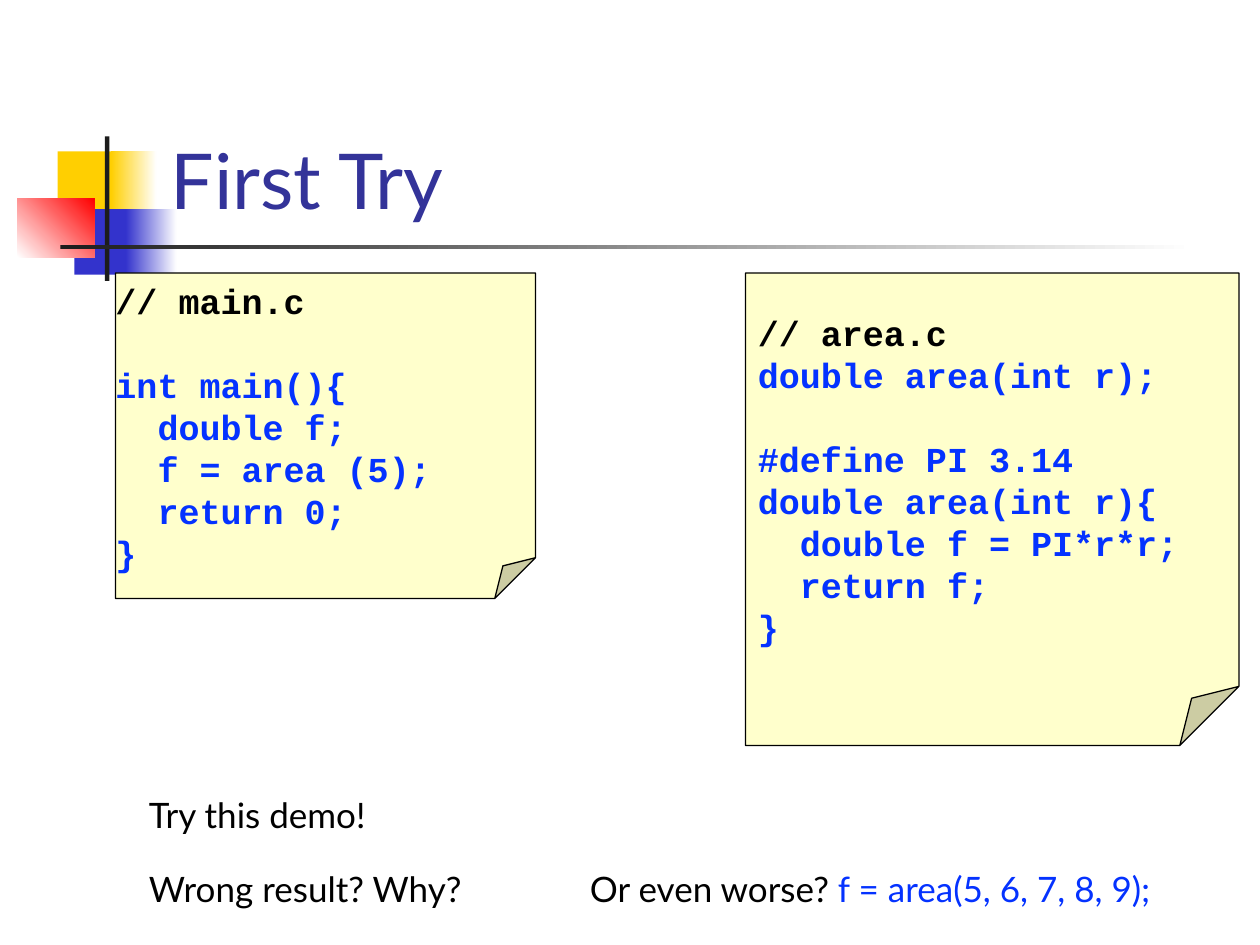
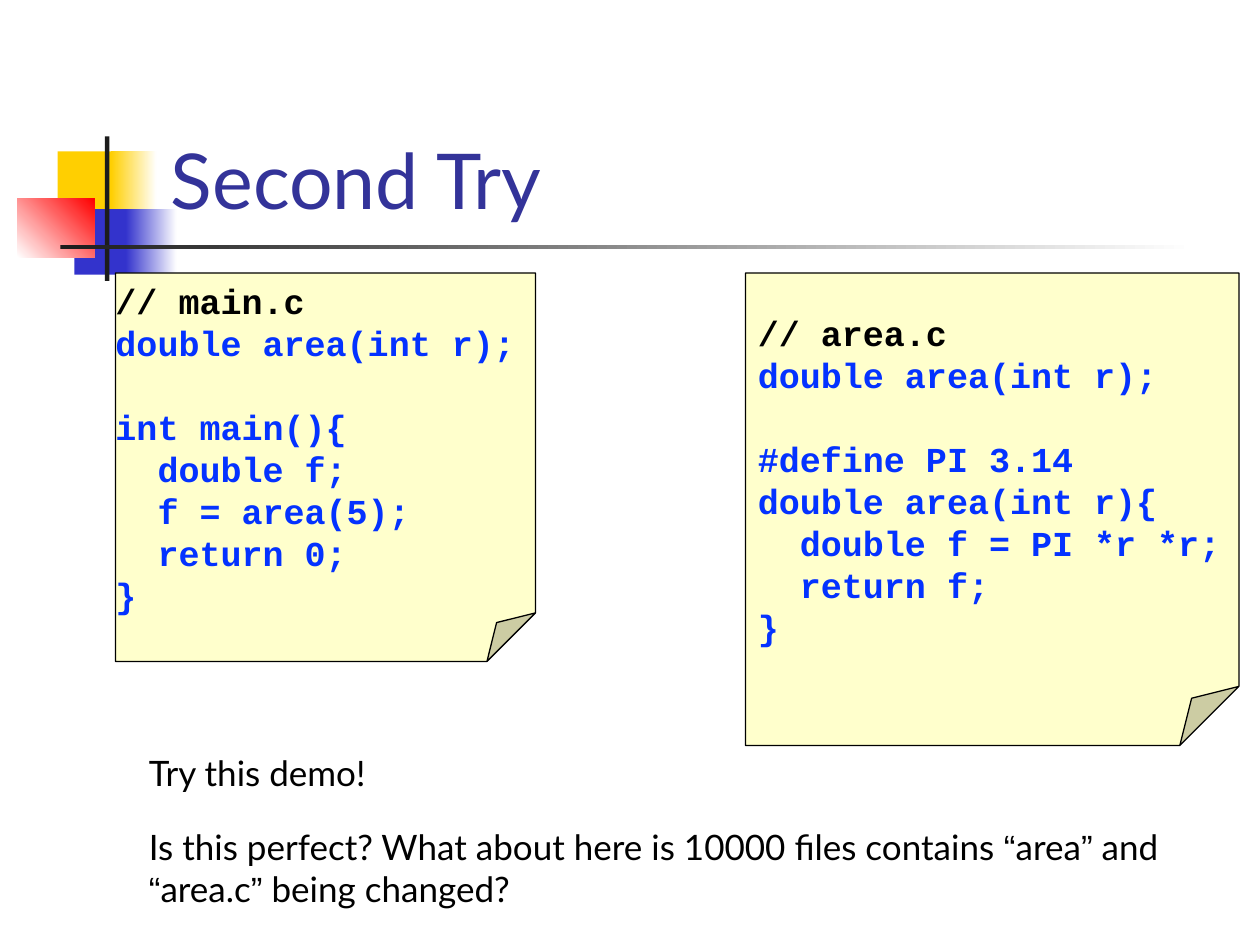
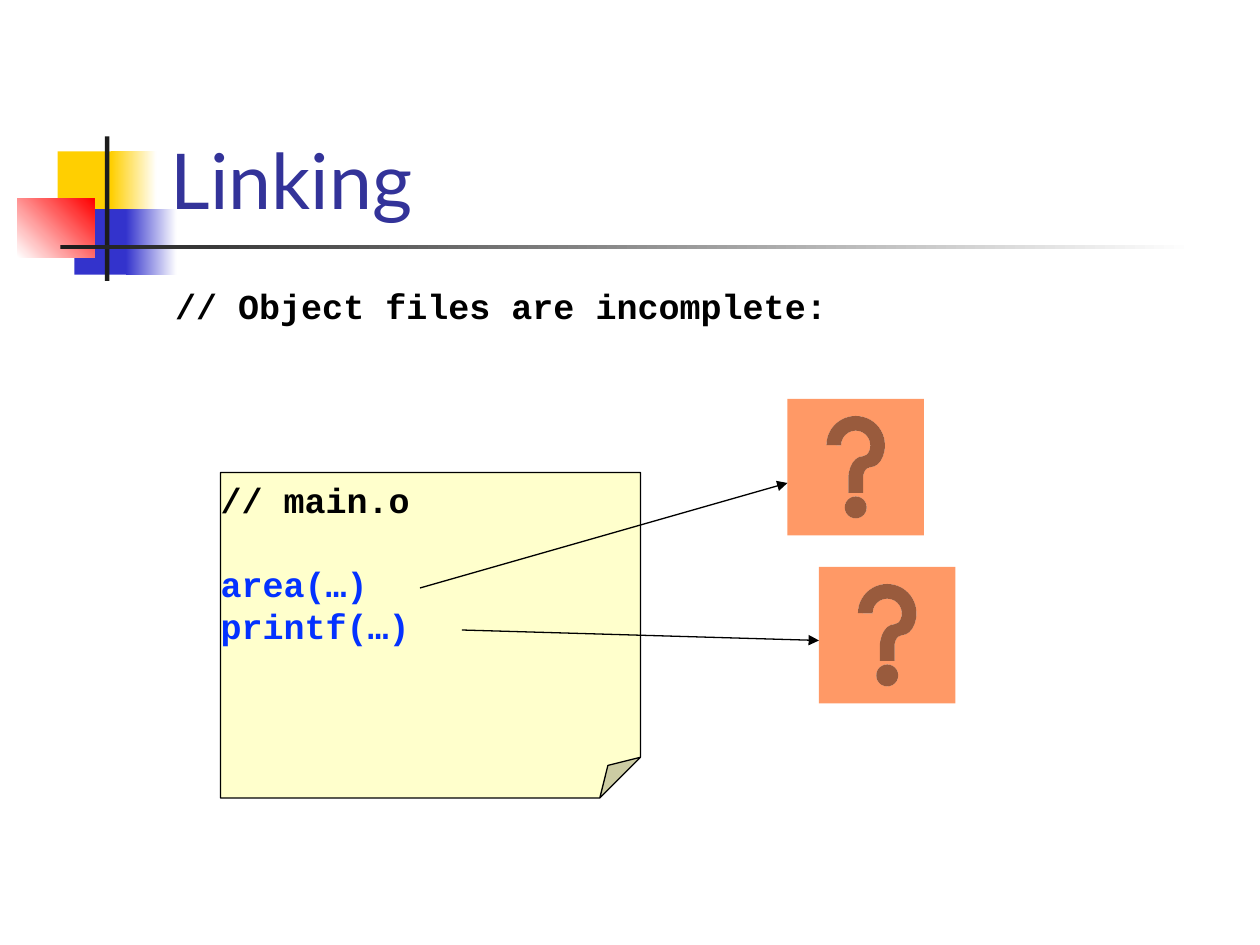
import pptx
import pptx.dml.color
import pptx.enum.shapes
import pptx.enum.text
import pptx.oxml.ns
import pptx.util
from lxml import etree

Pt = pptx.util.Pt
RGBColor = pptx.dml.color.RGBColor
Shape = pptx.enum.shapes.MSO_SHAPE
Anchor = pptx.enum.text.MSO_ANCHOR
qn = pptx.oxml.ns.qn

# Colours
BLACK = RGBColor(0x00, 0x00, 0x00)
WHITE = RGBColor(0xFF, 0xFF, 0xFF)
CHARCOAL = RGBColor(0x1C, 0x1C, 0x1C)
YELLOW = RGBColor(0xFF, 0xCF, 0x01)
BLUE = RGBColor(0x33, 0x33, 0xCC)
RED = RGBColor(0xFF, 0x00, 0x00)
INDIGO = RGBColor(0x33, 0x33, 0x99)
CODE_BLUE = RGBColor(0x04, 0x32, 0xFF)
NOTE_YELLOW = RGBColor(0xFF, 0xFF, 0xCC)
ORANGE = RGBColor(0xFF, 0x99, 0x66)

# Text formats
TITLE = {"name": "Lato", "size": Pt(44), "color": INDIGO}
BODY = {"name": "Lato", "size": Pt(20), "color": BLACK}
BODY_CODE = {**BODY, "color": CODE_BLUE}
QUOTE = {**BODY, "name": "Arial"}
COMMENT = {"name": "Courier New", "size": Pt(20), "bold": True, "color": BLACK}
CODE = {**COMMENT, "color": CODE_BLUE}

CODE_LINE = 24
LINE_WIDTH = 0.75

# Band behind the title: left, top, width, height, colours, angle
TITLE_BAND = [
    (33, 86.5, 34.5, 37.5, [YELLOW], 0),
    (63.5, 86.5, 26, 37.5, [YELLOW, WHITE], 0),
    (42.5, 119.5, 33, 37.5, [BLUE], 0),
    (72, 119.5, 29, 37.5, [BLUE, WHITE], 0),
    (10, 113.5, 44, 33.5, [WHITE, RED], 45),
    (60, 78, 2.5, 82.5, [CHARCOAL], 0),
    (34.5, 140, 648, 2.5, [CHARCOAL, WHITE], 0),
]


class Deck:
    """Holds the presentation, its style and the current slide."""

    def __init__(self):
        self.presentation = pptx.Presentation()
        self.presentation.slide_width = Pt(720)
        self.presentation.slide_height = Pt(540)
        self.slide = None

    def add_slide(self, title):
        layout = self.presentation.slide_layouts[6]
        self.slide = self.presentation.slides.add_slide(layout)
        for left, top, width, height, colors, angle in TITLE_BAND:
            self.shape(Shape.RECTANGLE, left, top, width, height, colors, angle)
        self.text(90.5, 16.5, 613.5, 115.5, [(title, TITLE)], Anchor.BOTTOM)

    def shape(self, kind, left, top, width, height, colors, angle=0):
        shape = self.slide.shapes.add_shape(
            kind, Pt(left), Pt(top), Pt(width), Pt(height))
        shape.shadow.inherit = False
        shape.line.fill.background()
        if len(colors) == 1:
            shape.fill.solid()
            shape.fill.fore_color.rgb = colors[0]
        else:
            shape.fill.gradient()
            shape.fill.gradient_angle = angle
            for stop, color in zip(shape.fill.gradient_stops, colors):
                stop.color.rgb = color
        return shape

    def runs(self, paragraph, runs):
        paragraph.alignment = pptx.enum.text.PP_ALIGN.LEFT
        for text, text_format in runs:
            run = paragraph.add_run()
            run.text = text
            for name, value in text_format.items():
                if name == "color":
                    run.font.color.rgb = value
                else:
                    setattr(run.font, name, value)

    def text(self, left, top, width, height, runs, anchor=Anchor.TOP):
        box = self.slide.shapes.add_textbox(
            Pt(left), Pt(top), Pt(width), Pt(height))
        box.text_frame.word_wrap = True
        box.text_frame.vertical_anchor = anchor
        self.runs(box.text_frame.paragraphs[0], runs)

    def note(self, left, top, width, height, code, anchor=Anchor.TOP, inset=0):
        shape = self.shape(
            Shape.FOLDED_CORNER, left, top, width, height, [NOTE_YELLOW])
        # Size of the folded corner, as a share of the shorter side
        adjustments = next(shape._element.spPr.iter(qn("a:avLst")))
        for guide in list(adjustments):
            adjustments.remove(guide)
        etree.SubElement(adjustments, qn("a:gd"), name="adj", fmla="val 12500")
        shape.line.color.rgb = BLACK
        shape.line.width = Pt(LINE_WIDTH)
        frame = shape.text_frame
        frame.word_wrap = True
        frame.vertical_anchor = anchor
        frame.margin_left = Pt(inset)
        # An empty line of code becomes space before the next line
        gap = 0
        for number, line in enumerate(code.strip().split("\n")):
            if not line:
                gap += CODE_LINE
                continue
            paragraph = frame.add_paragraph() if number else frame.paragraphs[0]
            paragraph.line_spacing = Pt(CODE_LINE)
            if gap:
                paragraph.space_before = Pt(gap)
            gap = 0
            self.runs(paragraph, [(line, CODE if number else COMMENT)])

    def area_note(self, code):
        self.note(426, 156, 282, 270, code, Anchor.MIDDLE, 7.2)

    def unknown(self, left, top):
        self.shape(Shape.ACTION_BUTTON_HELP, left, top, 78, 78, [ORANGE])

    def arrow(self, start_x, start_y, end_x, end_y):
        connector = self.slide.shapes.add_connector(
            pptx.enum.shapes.MSO_CONNECTOR.STRAIGHT,
            Pt(start_x), Pt(start_y), Pt(end_x), Pt(end_y))
        connector.line.color.rgb = BLACK
        connector.line.width = Pt(LINE_WIDTH)
        line = connector.line._get_or_add_ln()
        etree.SubElement(line, qn("a:tailEnd"), type="triangle")
        etree.SubElement(connector._element.spPr, qn("a:effectLst"))


FIRST_MAIN = """
// main.c

int main(){
  double f;
  f = area (5);
  return 0;
}
"""

SECOND_MAIN = """
// main.c
double area(int r);

int main(){
  double f;
  f = area(5);
  return 0;
}
"""

AREA = """
// area.c
double area(int r);

#define PI 3.14
double area(int r){
  double f = PI*r*r;
  return f;
}
"""

OBJECT_FILE = """
// main.o

area(…)
printf(…)
"""


def main():
    deck = Deck()

    # First try
    deck.add_slide("First Try")
    deck.note(66, 156, 240, 186, FIRST_MAIN)
    deck.area_note(AREA)
    deck.text(78, 450, 180, 31, [("Try this demo!", BODY)])
    deck.text(78, 492, 216, 31, [("Wrong result? Why?", BODY)])
    deck.text(330, 492, 360, 31, [
        ("Or even worse? ", BODY), ("f = area(5, 6, 7, 8, 9);", BODY_CODE)])

    # Second try
    deck.add_slide("Second Try")
    deck.note(66, 156, 240, 222, SECOND_MAIN)
    deck.area_note(AREA.replace("PI*r*r", "PI *r *r"))
    deck.text(78, 426, 180, 31, [("Try this demo!", BODY)])
    deck.text(78, 468, 618, 55, [
        ("Is this perfect? What about here is 10000 files contains ", BODY),
        ("“", QUOTE), ("area", BODY), ("”", QUOTE), (" and ", BODY),
        ("“", QUOTE), ("area.c", BODY), ("”", QUOTE),
        (" being changed?", BODY)])

    # Linking
    deck.add_slide("Linking")
    deck.text(93, 159, 612, 324, [("// Object files are incomplete:", COMMENT)])
    deck.unknown(450, 228)
    deck.note(126, 270, 240, 186, OBJECT_FILE)
    deck.arrow(240, 336, 450, 276)
    deck.arrow(264, 360, 468, 366)
    deck.unknown(468, 324)

    deck.presentation.save("out.pptx")


if __name__ == "__main__":
    main()
